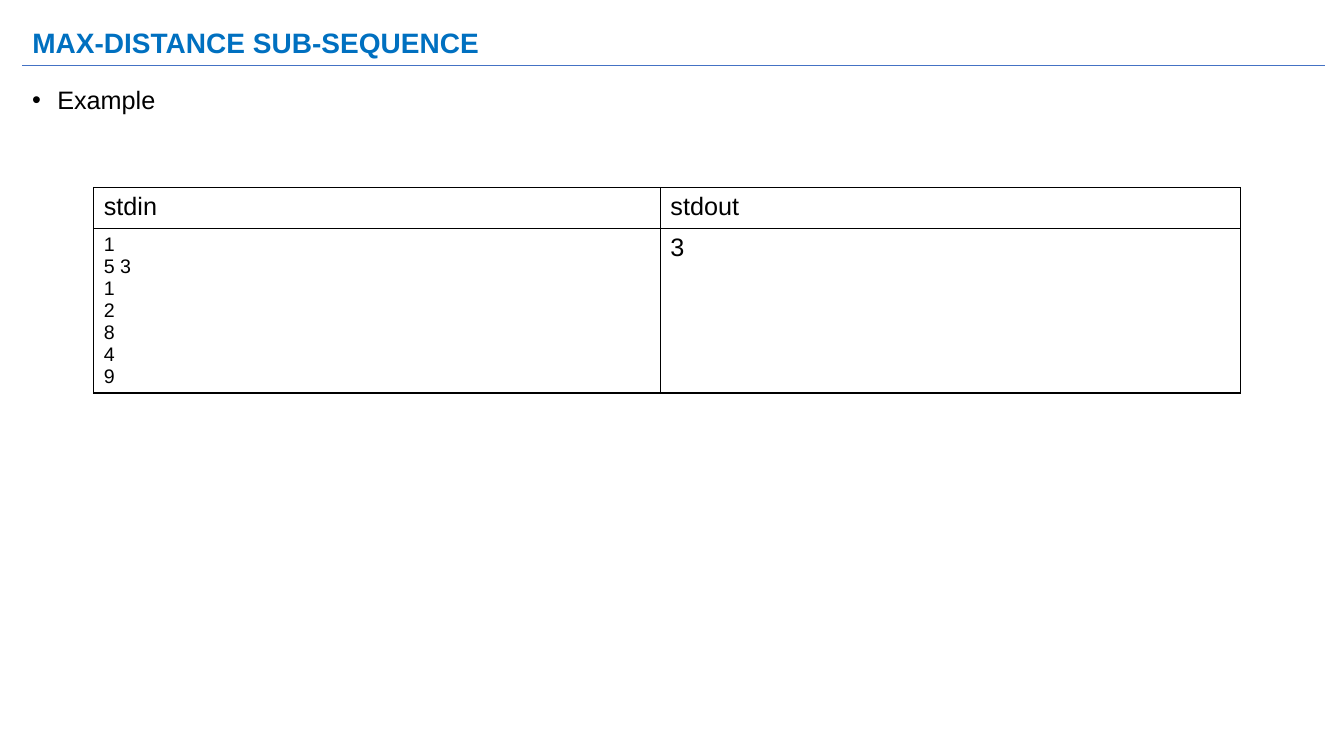
from lxml import etree
from pptx import Presentation
from pptx import util as u
from pptx.dml.color import RGBColor
from pptx.enum import shapes, text
from pptx.oxml import ns

BLACK, WHITE, TITLE_BLUE, RULE_BLUE = "000000", "FFFFFF", "0070C0", "4472C4"
MARGIN, CONTENT_WIDTH = 0.22, 12.92


def rgb(value):
    return RGBColor.from_string(value)


def style_text(frame, size, color=BLACK, bold=False, spacing=1.0):
    frame.word_wrap = True
    for paragraph in frame.paragraphs:
        paragraph.alignment = text.PP_ALIGN.LEFT
        paragraph.line_spacing = spacing
        paragraph.font.name = "Arial"
        paragraph.font.size = u.Pt(size)
        paragraph.font.bold = bold
        paragraph.font.color.rgb = rgb(color)


def place(shape, left, top, width, height):
    shape.left, shape.top = u.Inches(left), u.Inches(top)
    shape.width, shape.height = u.Inches(width), u.Inches(height)


def set_title(slide, wording):
    title = slide.shapes.title
    place(title, MARGIN, 0.15, CONTENT_WIDTH, 0.59)
    title.text_frame.text = wording
    title.text_frame.auto_size = text.MSO_AUTO_SIZE.NONE
    title.text_frame.vertical_anchor = text.MSO_ANCHOR.MIDDLE
    style_text(title.text_frame, 20, TITLE_BLUE, True, 0.9)


def add_rule(slide, top):
    rule = slide.shapes.add_connector(
        shapes.MSO_CONNECTOR.STRAIGHT,
        u.Inches(MARGIN), u.Inches(top),
        u.Inches(MARGIN + CONTENT_WIDTH), u.Inches(top))
    rule.line.color.rgb = rgb(RULE_BLUE)
    rule.line.width = u.Pt(0.75)
    etree.SubElement(rule._element.spPr, ns.qn("a:effectLst"))


def add_bullet(slide, wording, left, top, width, height):
    box = slide.shapes.add_textbox(*map(u.Inches, (left, top, width, height)))
    box.text_frame.text = wording
    style_text(box.text_frame, 18, spacing=0.9)
    properties = box.text_frame.paragraphs[0]._p.get_or_add_pPr()
    indent = u.Inches(0.25)
    properties.set("marL", str(indent))
    properties.set("indent", str(-indent))
    font = etree.SubElement(properties, ns.qn("a:buFont"), typeface="Arial")
    font.addnext(etree.Element(ns.qn("a:buChar"), char="•"))
    properties.append(properties.find(ns.qn("a:defRPr")))


def add_borders(cell):
    properties = cell._tc.get_or_add_tcPr()
    for position, side in enumerate(("lnL", "lnR", "lnT", "lnB")):
        border = etree.Element(ns.qn(f"a:{side}"), w=str(u.Pt(0.96)))
        fill = etree.SubElement(border, ns.qn("a:solidFill"))
        etree.SubElement(fill, ns.qn("a:srgbClr"), val=BLACK)
        properties.insert(position, border)


def add_example_table(slide, rows, widths, heights, left, top):
    frame = slide.shapes.add_table(
        len(rows), len(widths), u.Inches(left), u.Inches(top),
        u.Inches(sum(widths)), u.Inches(sum(heights)))
    table = frame.table
    table.first_row = table.horz_banding = False
    for column, width in zip(table.columns, widths):
        column.width = u.Inches(width)
    for row, height, contents in zip(table.rows, heights, rows):
        row.height = u.Inches(height)
        for cell, (wording, size) in zip(row.cells, contents):
            cell.text_frame.text = wording
            style_text(cell.text_frame, size)
            cell.fill.solid()
            cell.fill.fore_color.rgb = rgb(WHITE)
            add_borders(cell)


def main():
    deck = Presentation()
    deck.slide_width, deck.slide_height = u.Inches(13.33), u.Inches(7.5)
    slide = deck.slides.add_slide(deck.slide_layouts.get_by_name("Title Only"))
    set_title(slide, "MAX-DISTANCE SUB-SEQUENCE")
    sample_input = "\n".join(["1", "5 3", "1", "2", "8", "4", "9"])
    add_example_table(
        slide,
        rows=[[("stdin", 18), ("stdout", 18)], [(sample_input, 14), ("3", 18)]],
        widths=[5.62, 5.75], heights=[0.41, 1.63], left=0.93, top=1.86)
    add_rule(slide, 0.65)
    add_bullet(slide, "Example", MARGIN, 0.82, 4.54, 0.43)
    deck.save("out.pptx")


if __name__ == "__main__":
    main()
